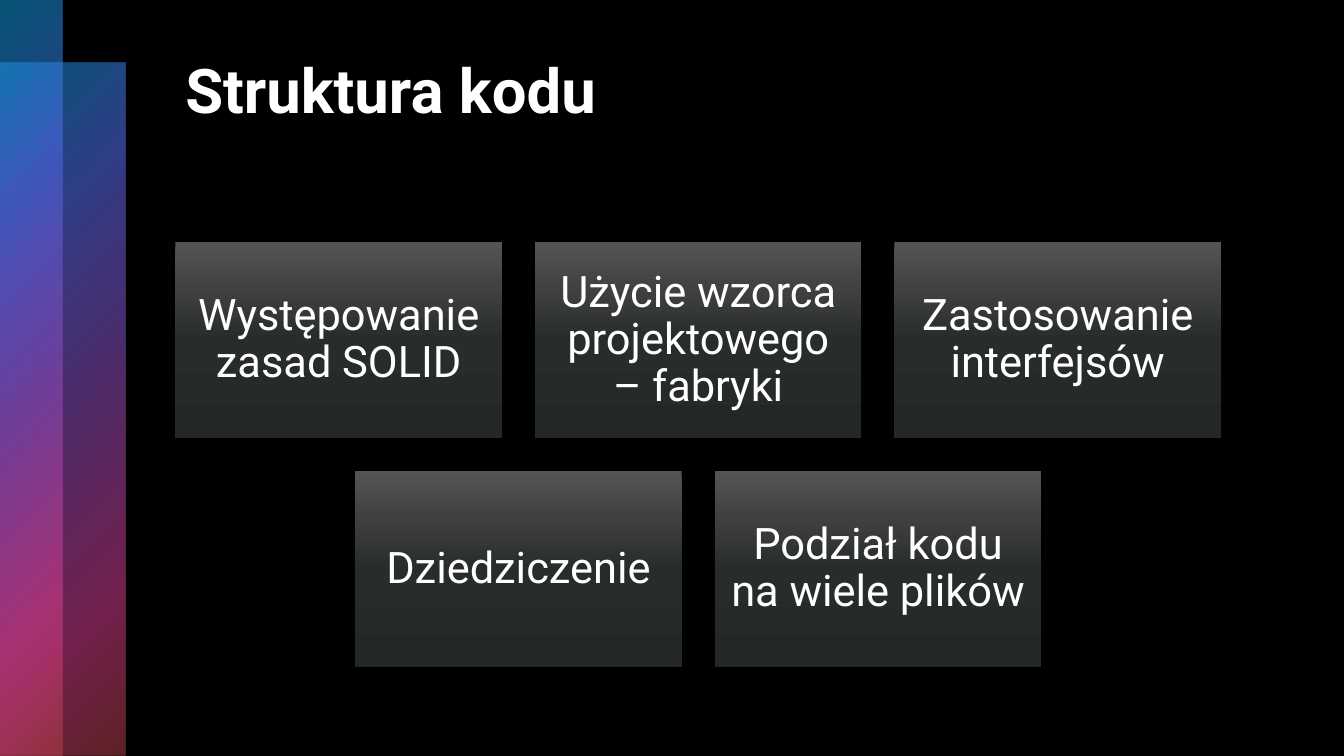
import pptx
import pptx.dml.color
import pptx.enum.shapes
import pptx.enum.text
import pptx.oxml
import pptx.oxml.ns
import pptx.util
from dataclasses import dataclass

Cm = pptx.util.Cm
Pt = pptx.util.Pt
RGB = pptx.dml.color.RGBColor


@dataclass
class Theme:
    font: str = "Roboto"
    back: str = "000000"
    text: str = "FFFFFF"
    title: int = 44
    body: int = 31
    # Gradient stops: position, colour, opacity (all percent)
    bar: tuple = ((0, "0BA5E8", 50), (25, "5066E1", 60), (50, "894EC0", 55),
                  (81, "E54196", 50), (99, "BE4449", 50))
    card: tuple = ((0, "535454", 100), (50, "292C2D", 100), (100, "242728", 100))


theme = Theme()


def add_block(left, top, width, height, stops, shade):
    """Add a borderless rectangle with a gradient fill."""
    block = slide.shapes.add_shape(
        pptx.enum.shapes.MSO_SHAPE.RECTANGLE, left, top, width, height)
    block.shadow.inherit = False
    block.line.fill.background()
    marks = "".join(
        f'<a:gs pos="{pos * 1000}"><a:srgbClr val="{color}">'
        f'<a:alpha val="{alpha * 1000}"/></a:srgbClr></a:gs>'
        for pos, color, alpha in stops)
    fill = pptx.oxml.parse_xml(
        f'<a:gradFill {pptx.oxml.ns.nsdecls("a")} rotWithShape="1">'
        f'<a:gsLst>{marks}</a:gsLst>{shade}</a:gradFill>')
    block.element.spPr.find(pptx.oxml.ns.qn("a:prstGeom")).addnext(fill)
    return block


def write(shape, text, size, inset, anchor, align, bold=False):
    """Put one styled paragraph into a shape."""
    frame = shape.text_frame
    frame.word_wrap = True
    frame.vertical_anchor = anchor
    frame.margin_left = frame.margin_right = inset
    frame.margin_top = frame.margin_bottom = inset
    para = frame.paragraphs[0]
    para.text = text
    para.alignment = align
    para.line_spacing = 0.9
    para.font.name = theme.font
    para.font.size = Pt(size)
    para.font.bold = bold
    para.font.color.rgb = RGB.from_string(theme.text)


deck = pptx.Presentation()
deck.slide_width = Cm(33.87)
deck.slide_height = Cm(19.05)
slide = deck.slides.add_slide(deck.slide_layouts[6])
slide.background.fill.solid()
slide.background.fill.fore_color.rgb = RGB.from_string(theme.back)

# Overlapping bars on the left edge
glow = '<a:path path="circle"><a:fillToRect r="100000" b="100000"/></a:path>'
step = Cm(1.58)
add_block(0, step, 2 * step, deck.slide_height - step, theme.bar, glow)
add_block(0, 0, step, deck.slide_height, theme.bar, glow)

# Title
left = Cm(4.42)
title = slide.shapes.add_textbox(left, Cm(1.27), Cm(26.34), Cm(4.32))
write(title, "Struktura kodu", theme.title, Cm(0.25),
      pptx.enum.text.MSO_ANCHOR.TOP, pptx.enum.text.PP_ALIGN.LEFT, True)

# Cards: three above, two centred below
rows = (
    ("Występowanie zasad SOLID", "Użycie wzorca projektowego – fabryki",
     "Zastosowanie interfejsów"),
    ("Dziedziczenie", "Podział kodu na wiele plików"),
)
fade = '<a:lin ang="5400000" scaled="0"/>'
pitch = Cm(9.06)
for row, labels in enumerate(rows):
    start = left + (len(rows[0]) - len(labels)) * pitch // 2
    for col, label in enumerate(labels):
        card = add_block(start + col * pitch, Cm(6.1) + row * Cm(5.77),
                         Cm(8.23), Cm(4.94), theme.card, fade)
        write(card, label, theme.body, Cm(0.33),
              pptx.enum.text.MSO_ANCHOR.MIDDLE, pptx.enum.text.PP_ALIGN.CENTER)

deck.save("out.pptx")
